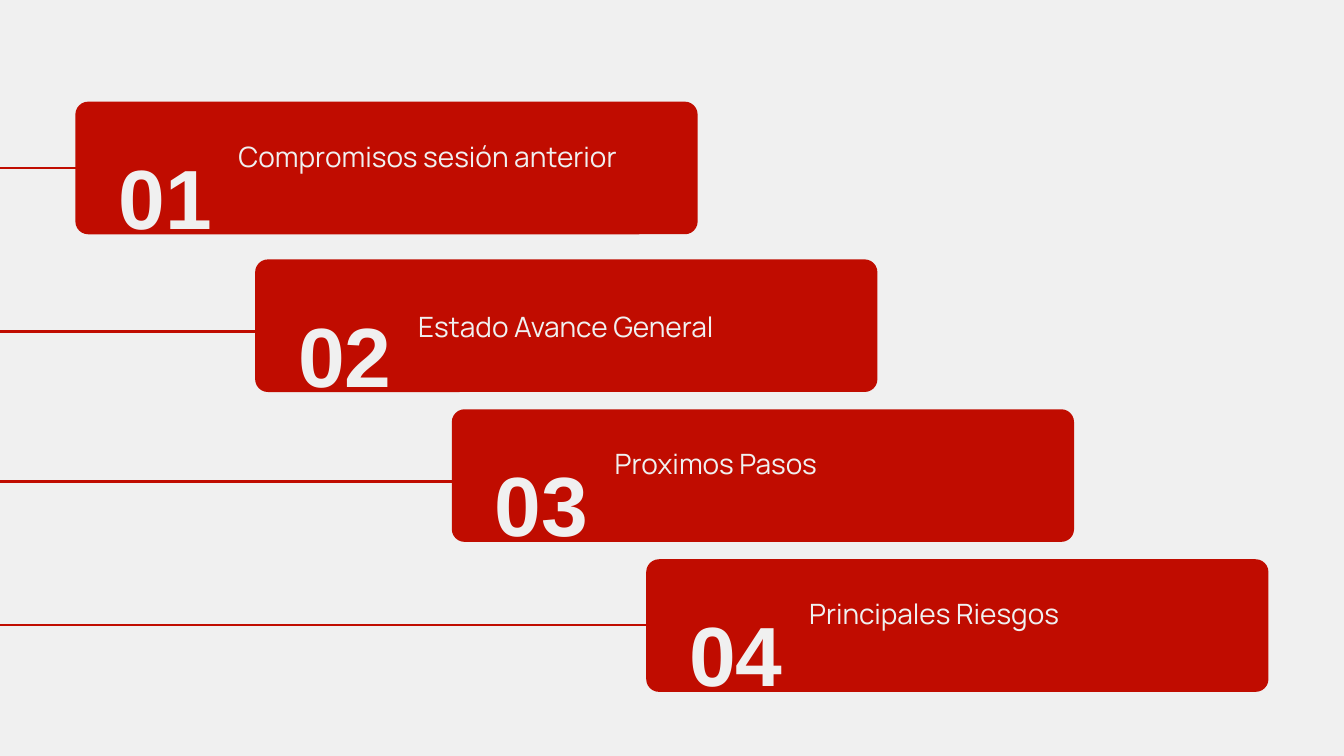
from dataclasses import dataclass

from lxml.etree import SubElement
from pptx import Presentation
from pptx.dml.color import RGBColor
from pptx.enum.shapes import MSO_CONNECTOR, MSO_SHAPE
from pptx.enum.text import MSO_AUTO_SIZE
from pptx.oxml.ns import qn
from pptx.slide import Slide
from pptx.util import Pt


@dataclass(frozen=True)
class Theme:
    red: RGBColor = RGBColor(0xC0, 0x0C, 0x00)
    light: RGBColor = RGBColor(0xF0, 0xF0, 0xF0)
    number_font: str = "Arial"
    label_font: str = "Manrope"
    number_size: int = 90
    label_size: int = 30
    line_width: int = 3
    line_spacing: float = 1.4


@dataclass(frozen=True)
class AgendaItem:
    label: str
    left: float
    top: float
    line_start: float
    line_end: float
    line_top: float
    label_drop: float = 26


THEME = Theme()
CARD_WIDTH, CARD_HEIGHT, CARD_RADIUS = 666.7, 142.1, 13.7

ITEMS = [
    AgendaItem("Compromisos sesión anterior", 80.8, 108.9, -164, 164, 180),
    AgendaItem("Estado Avance General", 273.4, 277.9, -18.7, 310.3, 355, 39.6),
    AgendaItem("Proximos Pasos", 484.1, 438.5, -18.7, 506.2, 515.5),
    AgendaItem("Principales Riesgos", 692.4, 599.2, -18.7, 772.6, 669.6),
]


def draw_line(page: Slide, item: AgendaItem) -> None:
    line = page.shapes.add_connector(
        MSO_CONNECTOR.STRAIGHT,
        Pt(item.line_start), Pt(item.line_top), Pt(item.line_end), Pt(item.line_top),
    )
    line.line.color.rgb = THEME.red
    line.line.width = Pt(THEME.line_width)
    SubElement(line._element.spPr, qn("a:effectLst"))


def draw_card(page: Slide, item: AgendaItem) -> None:
    card = page.shapes.add_shape(
        MSO_SHAPE.ROUNDED_RECTANGLE,
        Pt(item.left), Pt(item.top), Pt(CARD_WIDTH), Pt(CARD_HEIGHT),
    )
    card.adjustments[0] = CARD_RADIUS / CARD_HEIGHT
    card.shadow.inherit = False
    card.fill.solid()
    card.fill.fore_color.rgb = THEME.red
    card.line.fill.background()


def draw_text(page: Slide, text: str, left: float, top: float, width: float,
              height: float, font: str, size: int, bold: bool = False) -> None:
    box = page.shapes.add_textbox(Pt(left), Pt(top), Pt(width), Pt(height))
    frame = box.text_frame
    frame.word_wrap = True
    frame.auto_size = MSO_AUTO_SIZE.SHAPE_TO_FIT_TEXT
    frame.margin_left = frame.margin_right = frame.margin_top = frame.margin_bottom = 0
    para = frame.paragraphs[0]
    para.line_spacing = THEME.line_spacing
    span = para.add_run()
    span.text = text
    span.font.name = font
    span.font.size = Pt(size)
    span.font.bold = bold
    span.font.color.rgb = THEME.light


def main() -> None:
    deck = Presentation()
    deck.slide_width, deck.slide_height = Pt(1440), Pt(810)
    page = deck.slides.add_slide(deck.slide_layouts[6])
    page.background.fill.solid()
    page.background.fill.fore_color.rgb = THEME.light

    for item in ITEMS:
        draw_line(page, item)
    for item in ITEMS:
        draw_card(page, item)
    for number, item in enumerate(ITEMS, start=1):
        draw_text(page, f"{number:02d}", item.left + 46, item.top + 3.6, 120, 126,
                  THEME.number_font, THEME.number_size, bold=True)
        draw_text(page, item.label, item.left + 174.6, item.top + item.label_drop,
                  422.6, 42.5, THEME.label_font, THEME.label_size)

    deck.save("out.pptx")


if __name__ == "__main__":
    main()
